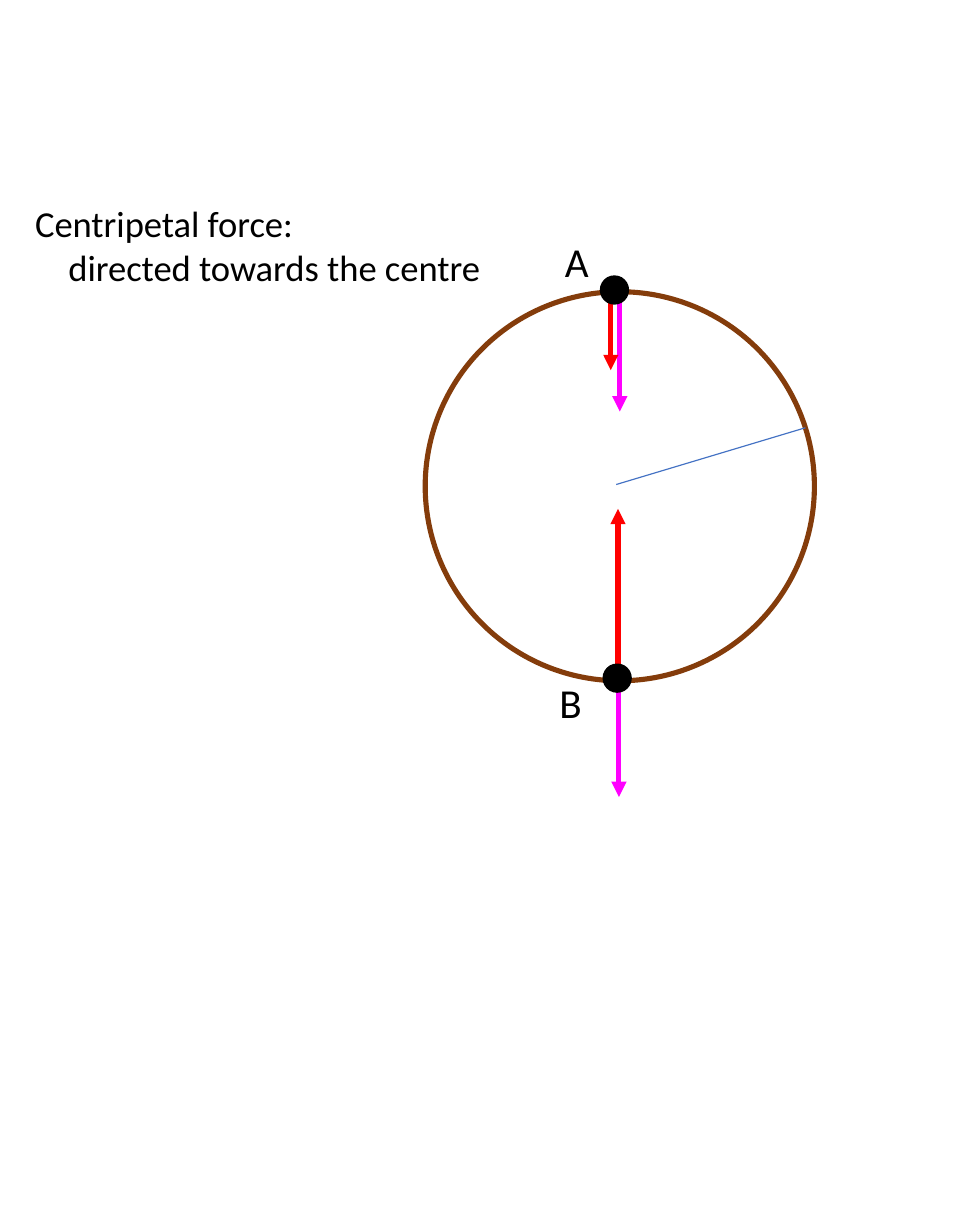
import pptx
import pptx.util
import pptx.dml.color
import pptx.enum.shapes
import pptx.oxml.ns
from lxml import etree

PX = 5000  # EMU per px
PAGE_SIZE = (1080, 1368)

THEME = {
    "font": "Calibri",
    "label_size": 18, "caption_size": 16,
    "track": "843C0B", "radius": "4472C4", "weight": "FF00FF",
    "reaction": "FF0000", "ball": "000000", "text": "000000",
    "thick": 2.25, "outline": 1, "thin": 0.5,
}

# Circles: centre x, centre y, diameter
TRACK = (688, 540, 432)
BALLS = [(682, 322, 30), (685, 753, 30)]

# Lines: start, end
RADIUS = ((684, 538), (894, 475))
FORCES = [
    ("weight", (688, 324), (688, 457)),
    ("weight", (687, 752), (687, 885)),
    ("reaction", (686, 759), (686, 565)),
    ("reaction", (678, 324), (678, 411)),
]

# Texts: box, size, (indent, line) pairs
TEXTS = [
    ((609, 253, 64, 74), "label_size", [(0, "A")]),
    ((603, 743, 62, 74), "label_size", [(0, "B")]),
    ((21, 214, 538, 117), "caption_size",
     [(0, "Centripetal force:"), (37, "directed towards the centre")]),
]


def px(*lengths):
    return [pptx.util.Emu(length * PX) for length in lengths]


def colour(name):
    return pptx.dml.color.RGBColor.from_string(THEME[name])


def style_line(line, colour_name, width_name):
    line.color.rgb = colour(colour_name)
    line.width = pptx.util.Pt(THEME[width_name])


def add_circle(page, circle, line_colour, width, fill=None):
    x, y, size = circle
    shape = page.shapes.add_shape(
        pptx.enum.shapes.MSO_SHAPE.OVAL,
        *px(x - size // 2, y - size // 2, size, size))
    shape.shadow.inherit = False
    if fill:
        shape.fill.solid()
        shape.fill.fore_color.rgb = colour(fill)
    else:
        shape.fill.background()
    style_line(shape.line, line_colour, width)


def add_line(page, start, end, line_colour, width, arrow=False):
    connector = page.shapes.add_connector(
        pptx.enum.shapes.MSO_CONNECTOR.STRAIGHT, *px(*start, *end))
    style_line(connector.line, line_colour, width)
    if arrow:
        etree.SubElement(connector.line._get_or_add_ln(),
                         pptx.oxml.ns.qn("a:tailEnd"), type="triangle")
    etree.SubElement(connector._element.spPr, pptx.oxml.ns.qn("a:effectLst"))


def add_text(page, area, size, lines):
    box = page.shapes.add_textbox(*px(*area))
    frame = box.text_frame
    frame.word_wrap = False
    for number, (indent, text) in enumerate(lines):
        para = frame.add_paragraph() if number else frame.paragraphs[0]
        para.text = text
        if indent:
            para._p.get_or_add_pPr().set("marL", str(indent * PX))
        para.font.name = THEME["font"]
        para.font.size = pptx.util.Pt(THEME[size])
        para.font.color.rgb = colour("text")


def main():
    deck = pptx.Presentation()
    deck.slide_width, deck.slide_height = px(*PAGE_SIZE)
    page = deck.slides.add_slide(deck.slide_layouts[6])
    add_circle(page, TRACK, "track", "thick")
    add_line(page, *RADIUS, "radius", "thin")
    for force, start, end in FORCES:
        add_line(page, start, end, force, "thick", arrow=True)
    for ball in BALLS:
        add_circle(page, ball, "ball", "outline", fill="ball")
    for area, size, lines in TEXTS:
        add_text(page, area, size, lines)
    deck.save("out.pptx")


if __name__ == "__main__":
    main()
